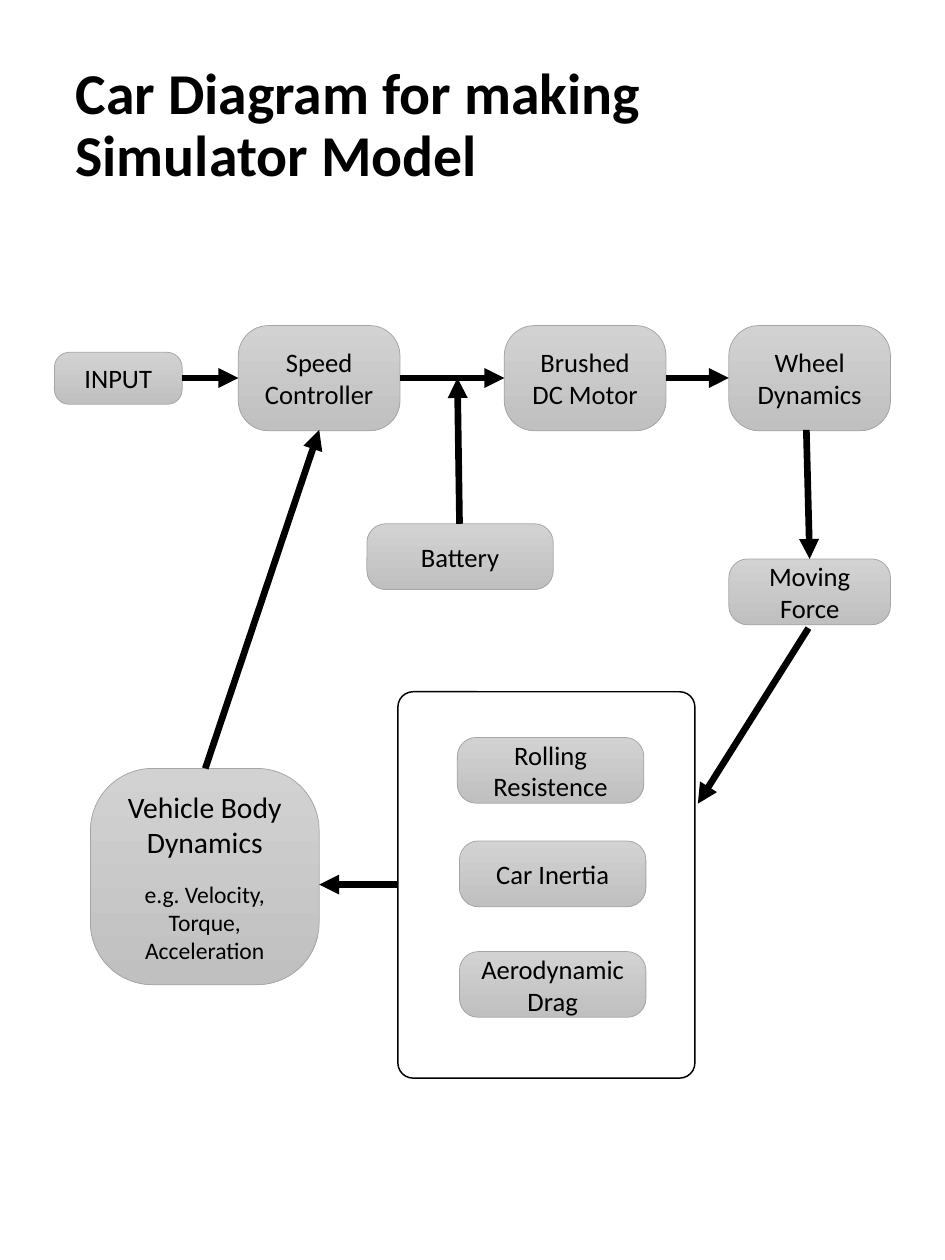
import pptx
import pptx.util
import pptx.dml.color
import pptx.enum.shapes
import pptx.enum.text
import pptx.oxml.ns
import lxml.etree

Cm = pptx.util.Cm
Pt = pptx.util.Pt
COLORS = {"ink": "000000", "top": "D2D2D2", "bottom": "C0C0C0", "edge": "A5A5A5"}
ROUNDED = pptx.enum.shapes.MSO_SHAPE.ROUNDED_RECTANGLE
MIDDLE = pptx.enum.text.MSO_ANCHOR.MIDDLE
CENTER = pptx.enum.text.PP_ALIGN.CENTER


def rgb(name):
    return pptx.dml.color.RGBColor.from_string(COLORS[name])


def add_span(para, text, size, bold=False):
    span = para.add_run()
    span.text = text
    span.font.name = "Calibri"
    span.font.size = Pt(size)
    span.font.bold = bold
    span.font.color.rgb = rgb("ink")


deck = pptx.Presentation()
deck.slide_width = Cm(22.56)
deck.slide_height = Cm(30.07)
page = deck.slides.add_slide(deck.slide_layouts[5])

title = page.shapes.title
title.left, title.top, title.width, title.height = Cm(1.55), Cm(0.08), Cm(19.46), Cm(5.89)
title.text_frame.word_wrap = True
title.text_frame.auto_size = pptx.enum.text.MSO_AUTO_SIZE.NONE
title.text_frame.vertical_anchor = MIDDLE
para = title.text_frame.paragraphs[0]
para.alignment = pptx.enum.text.PP_ALIGN.LEFT
para.line_spacing = 0.9
add_span(para, "Car Diagram for making", 39.1, True)
para.add_line_break()
add_span(para, "Simulator Model", 39.1, True)

blocks = [
    (1.3, 8.41, 3.05, 1.24, [("INPUT", 18)]),
    (5.69, 7.77, 3.86, 2.51, [("Speed Controller", 18)]),
    (12.04, 7.77, 3.86, 2.51, [("Brushed DC Motor", 18)]),
    (17.4, 7.77, 3.86, 2.51, [("Wheel Dynamics", 18)]),
    (17.4, 13.34, 3.86, 1.57, [("Moving Force", 18)]),
    (10.92, 17.6, 4.45, 1.57, [("Rolling Resistence", 18)]),
    (10.97, 20.07, 4.45, 1.57, [("Car Inertia", 18)]),
    (10.97, 22.71, 4.45, 1.57, [("Aerodynamic Drag", 18)]),
    (8.76, 12.5, 4.45, 1.57, [("Battery", 18)]),
    (2.16, 18.34, 5.46, 5.16,
     [("Vehicle Body Dynamics", 20), ("e.g. Velocity, Torque, Acceleration", 16)]),
]
for left, top, width, height, lines in blocks:
    box = page.shapes.add_shape(ROUNDED, Cm(left), Cm(top), Cm(width), Cm(height))
    box.adjustments[0] = 0.287
    box.shadow.inherit = False
    box.fill.gradient()
    box.fill.gradient_angle = 270
    for stop, shade in zip(box.fill.gradient_stops, ("top", "bottom")):
        stop.color.rgb = rgb(shade)
    box.line.color.rgb = rgb("edge")
    box.line.width = Pt(0.5)
    frame = box.text_frame
    frame.word_wrap = True
    frame.vertical_anchor = MIDDLE
    for number, (text, size) in enumerate(lines):
        para = frame.add_paragraph() if number else frame.paragraphs[0]
        para.alignment = CENTER
        if number:
            para.space_before = Pt(13.4)
        add_span(para, text, size)

resistances = page.shapes.add_shape(ROUNDED, Cm(9.5), Cm(16.51), Cm(7.09), Cm(9.22))
resistances.adjustments[0] = 0.051
resistances.shadow.inherit = False
resistances.fill.background()
resistances.line.color.rgb = rgb("ink")
resistances.line.width = Pt(1)

arrows = [
    (4.34, 9.02, 5.69, 9.02),
    (9.55, 9.02, 12.04, 9.02),
    (15.9, 9.02, 17.4, 9.02),
    (19.25, 10.26, 19.33, 13.34),
    (19.3, 14.99, 16.66, 19.18),
    (9.5, 21.11, 7.62, 21.11),
    (4.9, 18.34, 7.62, 10.26),
    (10.97, 12.5, 10.92, 9.02),
]
for ends in arrows:
    arrow = page.shapes.add_connector(
        pptx.enum.shapes.MSO_CONNECTOR.STRAIGHT, *[Cm(value) for value in ends])
    arrow.line.color.rgb = rgb("ink")
    arrow.line.width = Pt(4.5)
    outline = arrow.line._get_or_add_ln()
    lxml.etree.SubElement(outline, pptx.oxml.ns.qn("a:tailEnd"), type="triangle")
    lxml.etree.SubElement(arrow._element.spPr, pptx.oxml.ns.qn("a:effectLst"))

deck.save("out.pptx")
